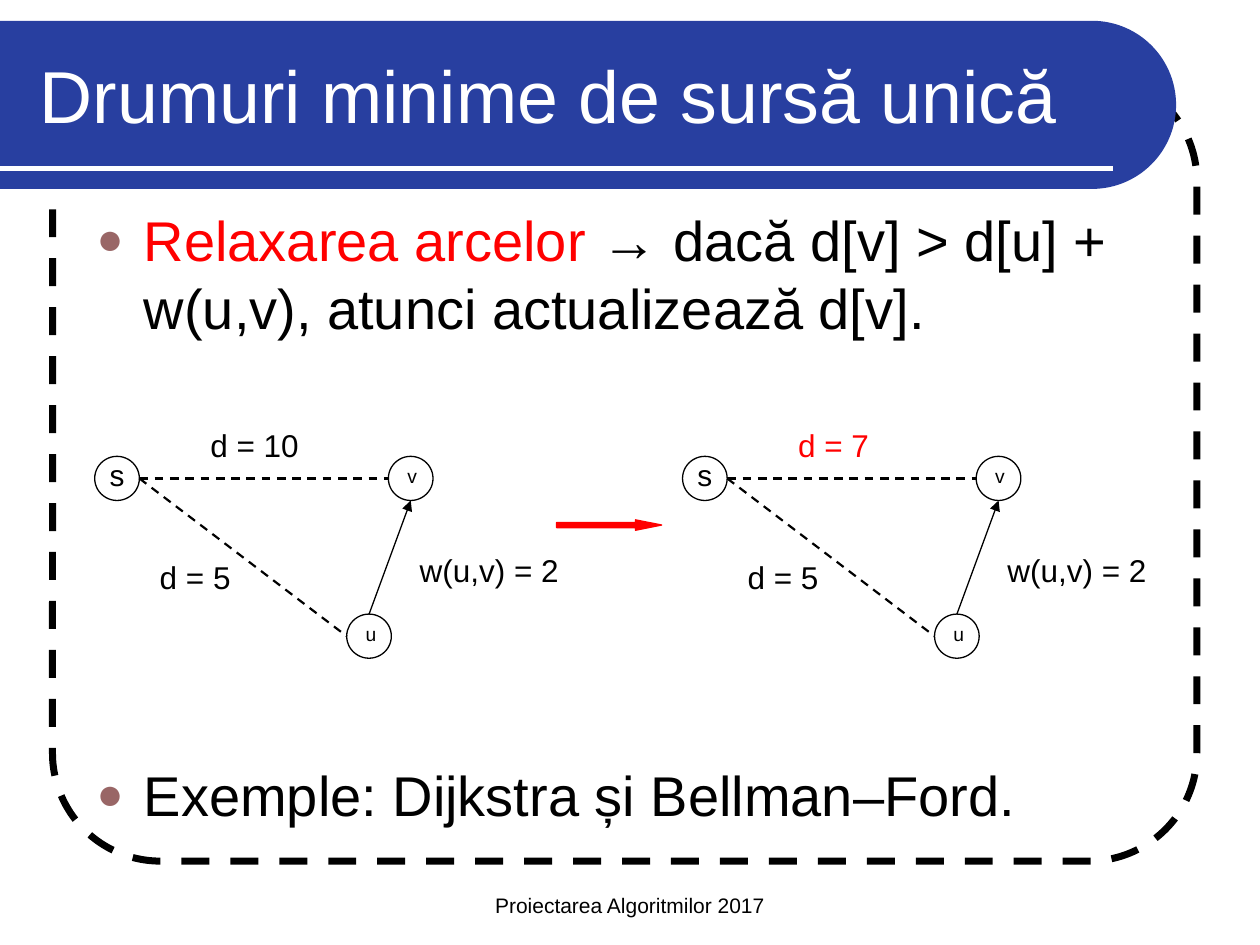
import math

from lxml import etree
from pptx import Presentation
from pptx import util as u
from pptx.dml.color import RGBColor
from pptx.enum import dml, shapes, text
from pptx.oxml.ns import qn

BLACK = RGBColor(0x00, 0x00, 0x00)
WHITE = RGBColor(0xFF, 0xFF, 0xFF)
RED = RGBColor(0xFF, 0x00, 0x00)
BLUE = RGBColor(0x28, 0x3F, 0xA0)
BULLET = "996666"
FONT = "Arial"
INSETS = (0.25, 0.13)
LINE_HEIGHT, PARA_GAP = 38.4, 8
DIAGRAM_GAP = 5 * (LINE_HEIGHT + PARA_GAP) + PARA_GAP


def style_runs(para, size, colors):
    for span, color in zip(para.runs, colors):
        span.font.name = FONT
        span.font.size = u.Pt(size)
        span.font.color.rgb = color


def style_shape(shape, fill=None, line=None, width=0.75):
    shape.shadow.inherit = False
    if fill is None:
        shape.fill.background()
    else:
        shape.fill.solid()
        shape.fill.fore_color.rgb = fill
    if line is None:
        shape.line.fill.background()
    else:
        shape.line.color.rgb = line
        shape.line.width = u.Pt(width)


def set_frame(frame, anchor, insets=INSETS):
    frame.word_wrap = True
    frame.vertical_anchor = anchor
    frame.margin_left = frame.margin_right = u.Cm(insets[0])
    frame.margin_top = frame.margin_bottom = u.Cm(insets[1])


def add_text(page, box, words, size, color=BLACK, anchor=text.MSO_ANCHOR.TOP,
             align=text.PP_ALIGN.LEFT):
    frame = page.shapes.add_textbox(*map(u.Cm, box)).text_frame
    set_frame(frame, anchor)
    para = frame.paragraphs[0]
    para.text = words
    para.alignment = align
    style_runs(para, size, [color])


def add_line(page, start, end, color=BLACK, width=0.75, dashed=False, arrow=False):
    line = page.shapes.add_connector(
        shapes.MSO_CONNECTOR.STRAIGHT, *map(u.Cm, (*start, *end)))
    line.line.color.rgb = color
    line.line.width = u.Pt(width)
    if dashed:
        line.line.dash_style = dml.MSO_LINE.DASH
    if arrow:
        outline = line._element.spPr.find(qn("a:ln"))
        etree.SubElement(outline, qn("a:tailEnd"), type="triangle")
    etree.SubElement(line._element.spPr, qn("a:effectLst"))


def add_dashed_frame(page, box):
    frame = page.shapes.add_shape(
        shapes.MSO_SHAPE.ROUNDED_RECTANGLE, *map(u.Cm, box))
    frame.adjustments[0] = 0.137
    style_shape(frame, line=BLACK, width=4)
    frame.line.dash_style = dml.MSO_LINE.DASH


def add_banner(page, box):
    """Blue band with a half-round right end and a white rule."""
    left, top, width, height = box
    radius = height / 2
    center_x, center_y = left + width - radius, top + radius
    arc = [(center_x + radius * math.cos(math.radians(angle)),
            center_y + radius * math.sin(math.radians(angle)))
           for angle in range(-90, 91, 3)]
    builder = page.shapes.build_freeform(u.Cm(left), u.Cm(top))
    builder.add_line_segments(
        [(u.Cm(x), u.Cm(y)) for x, y in arc + [(left, top + height)]], close=True)
    style_shape(builder.convert_to_shape(), fill=BLUE)
    rule_y = top + 2.97
    add_line(page, (left, rule_y), (left + width - 1.27, rule_y), WHITE, 3)


def add_bullet(para):
    props = para._p.get_or_add_pPr()
    props.set("marL", str(u.Cm(0.95)))
    props.set("indent", str(-u.Cm(0.95)))
    color = etree.SubElement(props, qn("a:buClr"))
    etree.SubElement(color, qn("a:srgbClr"), val=BULLET)
    etree.SubElement(props, qn("a:buSzPct"), val="80000")
    etree.SubElement(props, qn("a:buFont"), typeface=FONT)
    etree.SubElement(props, qn("a:buChar"), char="●")


def add_body(page, box):
    frame = page.shapes.add_textbox(*map(u.Cm, box)).text_frame
    set_frame(frame, text.MSO_ANCHOR.TOP)
    items = [
        ([("Relaxarea arcelor ", RED),
          ("→ dacă d[v] > d[u] + w(u,v), atunci actualizează d[v].", BLACK)], 0),
        ([("Exemple: Dijkstra și Bellman–Ford.", BLACK)], DIAGRAM_GAP),
    ]
    for index, (spans, gap) in enumerate(items):
        para = frame.add_paragraph() if index else frame.paragraphs[0]
        for words, _ in spans:
            para.add_run().text = words
        style_runs(para, 32, [color for _, color in spans])
        para.line_spacing = u.Pt(LINE_HEIGHT)
        para.space_before = u.Pt(gap)
        add_bullet(para)


def add_node(page, box, name, size, align, insets):
    node = page.shapes.add_shape(shapes.MSO_SHAPE.OVAL, *map(u.Cm, box))
    style_shape(node, WHITE, BLACK)
    set_frame(node.text_frame, text.MSO_ANCHOR.MIDDLE, insets)
    para = node.text_frame.paragraphs[0]
    para.text = name
    para.alignment = align
    para.line_spacing = 0.8
    style_runs(para, size, [BLACK])


def add_graph(page, left, top, distance, distance_color):
    """Triangle s, v, u with its edge labels."""
    width, height = 0.9, 0.89
    s, v, w = [(left + x, top + y) for x, y in ((0, 0.74), (5.92, 0.74), (5.08, 3.92))]
    centered, leftward = text.PP_ALIGN.CENTER, text.PP_ALIGN.LEFT
    for corner, name, size, align, insets in (
            (s, "s", 17, centered, (0, 0)),
            (v, "v", 11, leftward, INSETS),
            (w, "u", 11, leftward, INSETS)):
        add_node(page, (*corner, width, height), name, size, align, insets)

    source_exit = (s[0] + width, s[1] + height / 2)
    for target in (w, v):
        add_line(page, source_exit, (target[0], target[1] + height / 2),
                 width=1.25, dashed=True)
    add_line(page, (w[0] + width / 2, w[1]), (v[0] + width / 2, v[1] + height),
             arrow=True)

    for x, y, label_width, words, color in (
            (2.08, 0, 2.6, distance, distance_color),
            (1.06, 2.65, 2.2, "d = 5", BLACK),
            (6.3, 2.52, 3.6, "w(u,v) = 2", BLACK)):
        add_text(page, (left + x, top + y, label_width, 1.02), words, 18, color)


def add_step_arrow(page, box):
    arrow = page.shapes.add_shape(shapes.MSO_SHAPE.RIGHT_ARROW, *map(u.Cm, box))
    arrow.adjustments[0] = 0.5
    arrow.adjustments[1] = 2.51
    style_shape(arrow, RED, RED)


def main():
    deck = Presentation()
    deck.slide_width, deck.slide_height = u.Cm(25.4), u.Cm(19.05)
    page = deck.slides.add_slide(deck.slide_layouts[6])
    add_dashed_frame(page, (1.06, 1.48, 23.07, 15.88))
    add_banner(page, (0, 0.42, 23.71, 3.39))
    add_text(page, (8.68, 17.36, 8.04, 1.27), "Proiectarea Algoritmilor 2017", 12,
             anchor=text.MSO_ANCHOR.BOTTOM, align=text.PP_ALIGN.CENTER)
    add_text(page, (0.55, 0.62, 22.28, 2.54), "Drumuri minime de sursă unică", 42,
             WHITE, anchor=text.MSO_ANCHOR.MIDDLE)
    add_body(page, (1.7, 4.02, 22.01, 12.7))
    add_graph(page, 1.91, 8.46, "d = 10", BLACK)
    add_step_arrow(page, (11.22, 10.48, 2.12, 0.21))
    add_graph(page, 13.76, 8.46, "d = 7", RED)
    deck.save("out.pptx")


if __name__ == "__main__":
    main()
